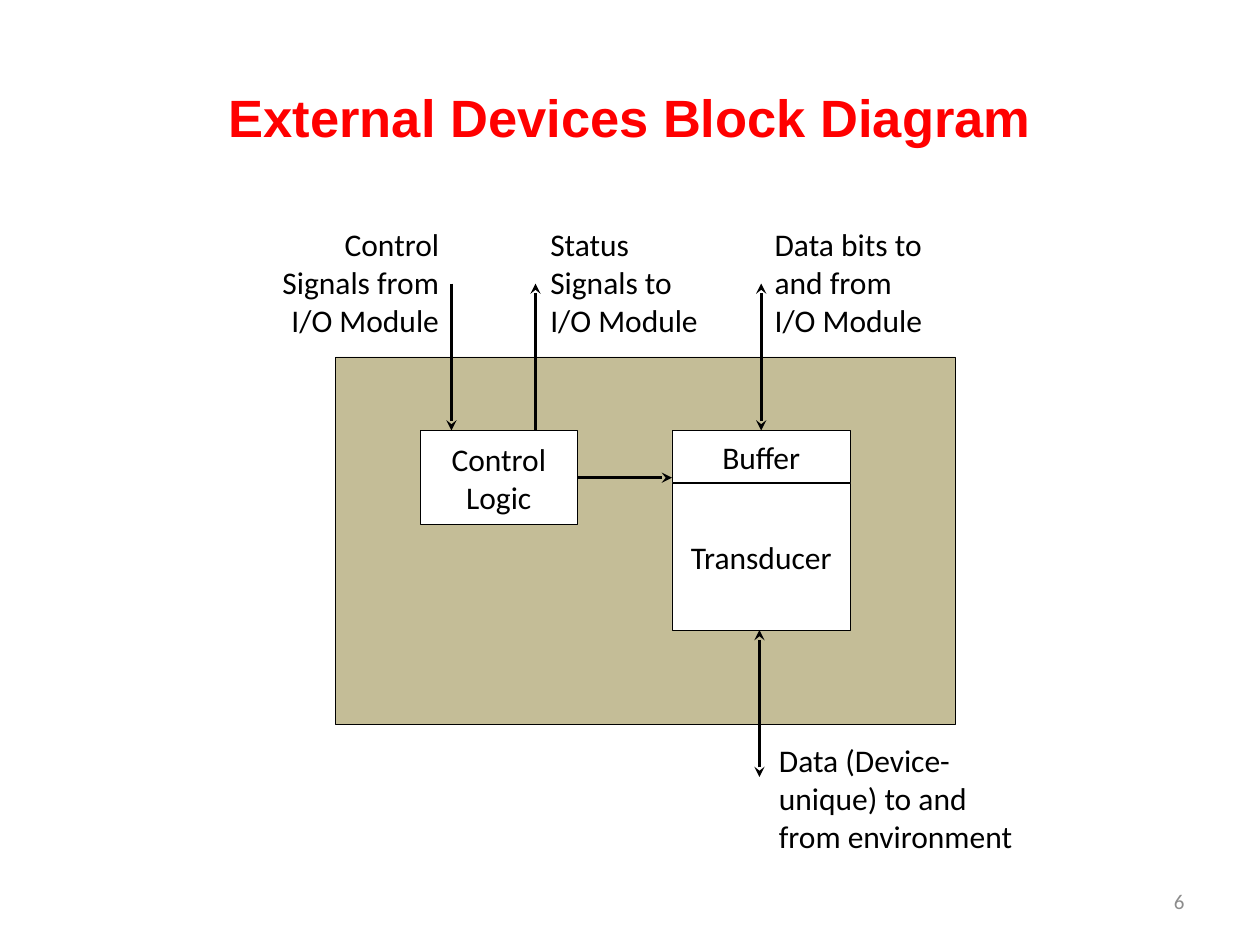
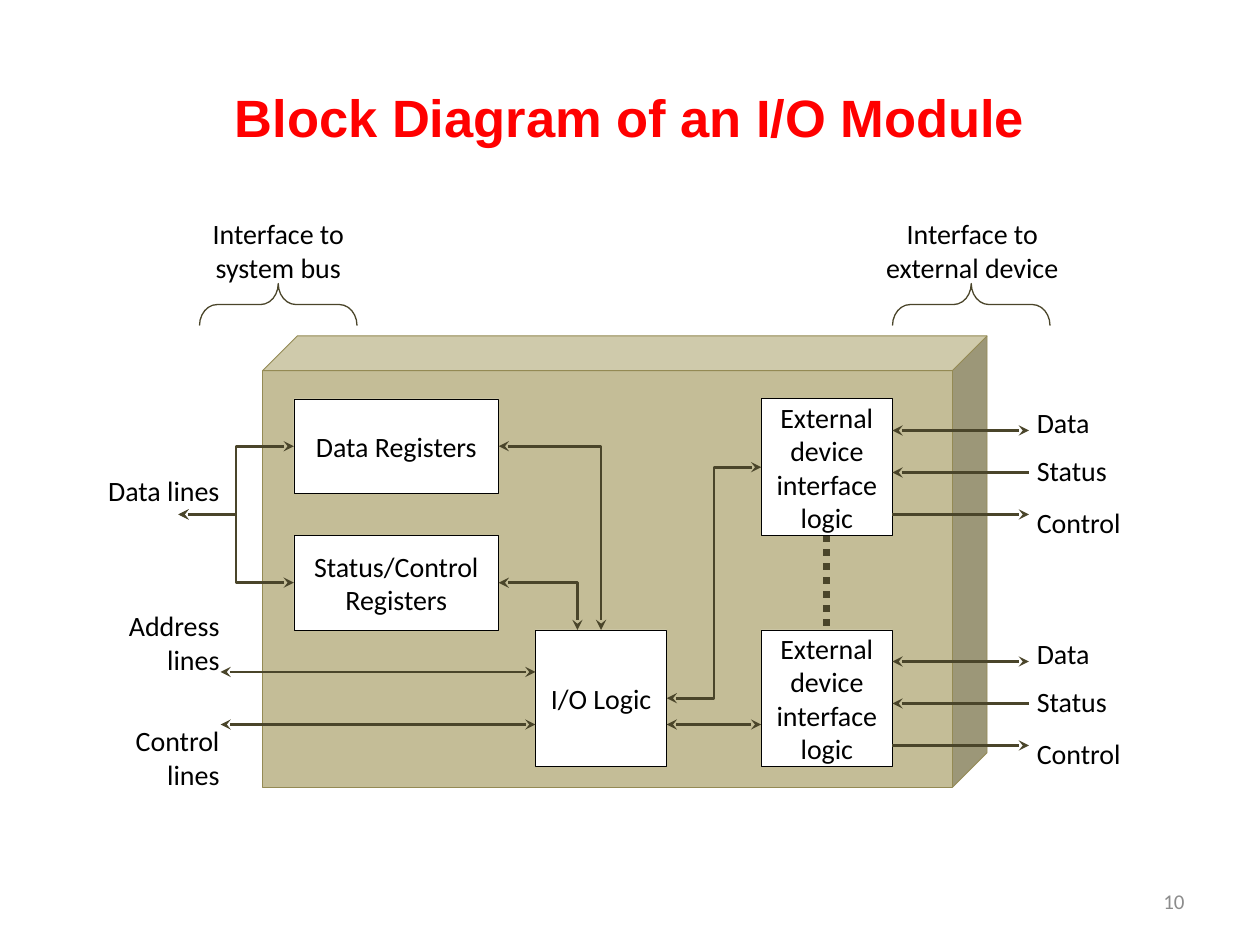
from lxml.etree import SubElement
from pptx import Presentation
from pptx.dml.color import RGBColor
from pptx.enum.dml import MSO_LINE
from pptx.enum.shapes import MSO_CONNECTOR, MSO_SHAPE
from pptx.enum.text import MSO_ANCHOR, PP_ALIGN
from pptx.oxml.ns import qn
from pptx.util import Pt

RED = RGBColor(0xFF, 0x00, 0x00)
BLACK = RGBColor(0x00, 0x00, 0x00)
WHITE = RGBColor(0xFF, 0xFF, 0xFF)
GRAY = RGBColor(0x8C, 0x8C, 0x8C)
TAN = RGBColor(0xC4, 0xBD, 0x97)
OLIVE = RGBColor(0x94, 0x8A, 0x54)
DARK_OLIVE = RGBColor(0x4A, 0x45, 0x2A)

LEFT, CENTER, RIGHT = PP_ALIGN.LEFT, PP_ALIGN.CENTER, PP_ALIGN.RIGHT
TITLE_FORMAT = {"name": "Arial", "size": Pt(30), "bold": True}
NUMBER_FORMAT = {"name": "Calibri", "size": Pt(12)}
LARGE_FORMAT = {"name": "Calibri", "size": Pt(18)}
SMALL_FORMAT = {"name": "Calibri", "size": Pt(16)}
TITLE_AREA = (36, 21.6, 648, 90)
NUMBER_AREA = (516, 500.4, 168, 28.8)

# Areas are (left, top, width, height); all lengths are in points.
DEVICE_AREA = (192, 204, 354, 210)
CONTROL_LOGIC = ("Control Logic", (240, 246, 90, 54))
DATA_PATH_BOXES = [
    ("Transducer", (384, 276, 102, 84)),
    ("Buffer", (384, 246, 102, 30)),
]
# Arrows are (start, end, ends that carry an arrowhead).
DEVICE_ARROWS = [
    ((258, 162), (258, 246), "tail"),
    ((306, 246), (306, 162), "tail"),
    ((330, 273), (384, 273), "tail"),
    ((435, 246), (435, 162), "head tail"),
    ((434, 444), (434, 360), "head tail"),
]
DEVICE_LABELS = [
    ("Control Signals from I/O Module", (150, 125.3, 108, 72.7), RIGHT),
    ("Status Signals to I/O Module", (307.4, 125.3, 108, 72.7), LEFT),
    ("Data bits to and from I/O Module", (435.6, 125.3, 108, 72.7), LEFT),
    ("Data (Device-unique) to and from environment", (438, 420, 156, 72.7), LEFT),
]

MODULE_AREA = (150, 192, 414, 258)
MODULE_BOXES = [
    ("Data Registers", (168, 228, 117, 54)),
    ("Status/Control Registers", (168, 306, 117, 54)),
    ("I/O Logic", (306, 360, 75, 78)),
]
INTERFACE_TEXT = "External device interface logic"
INTERFACE_LEFT, INTERFACE_WIDTH, INTERFACE_HEIGHT = 435, 75, 78
INTERFACE_TOPS = (228, 360)
SIGNAL_END, SIGNAL_LABEL_LEFT = 588, 585.4
# Each signal: label, label width, label offset, arrow offset, arrowheads.
SIGNALS = [
    ("Data", 45, 0, 18, "head tail"),
    ("Status", 57, 27.4, 42, "head"),
    ("Control", 69, 57.4, 66, "tail"),
]
MODULE_ARROWS = [
    ((381, 414), (435, 414)),
    ((126, 384), (306, 384)),
    ((126, 414), (306, 414)),
]
# Elbows are (start, end, preset geometry).
MODULE_ELBOWS = [
    ((285, 333), (330, 360), "bentConnector2"),
    ((285, 255), (343.5, 360), "bentConnector2"),
    ((381, 399), (435, 267), "bentConnector3"),
    ((168, 255), (102, 294), "bentConnector3"),
    ((168, 333), (102, 294), "bentConnector3"),
]
MODULE_LABELS = [
    ("Data lines", (42.5, 267, 90, 26.6), RIGHT),
    ("Address lines", (42.5, 344.2, 90, 46), RIGHT),
    ("Control lines", (42.5, 409.9, 90, 46), RIGHT),
    ("Interface to system bus", (114, 120.2, 90, 46), CENTER),
    ("Interface to external device", (498, 120.2, 115.2, 46), CENTER),
]
BRACE_AREAS = [(147, 129, 24, 90), (543, 129, 24, 90)]


def points(values):
    """Convert plain numbers to point lengths."""
    return [Pt(value) for value in values]


def write_text(shape, text, formats, alignment, color=BLACK, anchor=MSO_ANCHOR.MIDDLE):
    """Put one formatted paragraph into a shape."""
    frame = shape.text_frame
    frame.word_wrap = True
    frame.vertical_anchor = anchor
    paragraph = frame.paragraphs[0]
    paragraph.alignment = alignment
    run = paragraph.add_run()
    run.text = text
    for name, value in formats.items():
        setattr(run.font, name, value)
    run.font.color.rgb = color


def add_text(slide, text, area, formats, alignment, **options):
    """Add a text box."""
    shape = slide.shapes.add_textbox(*points(area))
    write_text(shape, text, formats, alignment, **options)


def add_labels(slide, labels, formats):
    """Add the top-anchored labels of a diagram."""
    for text, area, alignment in labels:
        add_text(slide, text, area, formats, alignment, anchor=MSO_ANCHOR.TOP)


def add_outline(slide, kind, area, fill=None, line=BLACK, width=0.5):
    """Add a preset shape without shadow, hollow if no fill is given."""
    shape = slide.shapes.add_shape(kind, *points(area))
    shape.shadow.inherit = False
    if fill is None:
        shape.fill.background()
    else:
        shape.fill.solid()
        shape.fill.fore_color.rgb = fill
    shape.line.color.rgb = line
    shape.line.width = Pt(width)
    return shape


def add_box(slide, text, area, formats):
    """Add a white block with centred text."""
    shape = add_outline(slide, MSO_SHAPE.RECTANGLE, area, WHITE)
    write_text(shape, text, formats, CENTER)
    return shape


def add_line(slide, start, end, heads="", color=BLACK, width=1.5, geometry=None):
    """Add a straight or elbow connector with stealth arrowheads."""
    kind = MSO_CONNECTOR.ELBOW if geometry else MSO_CONNECTOR.STRAIGHT
    connector = slide.shapes.add_connector(kind, *points(start + end))
    connector.line.color.rgb = color
    connector.line.width = Pt(width)
    properties = connector.element.spPr
    if geometry:
        properties.find(qn("a:prstGeom")).set("prst", geometry)
    for head in heads.split():
        SubElement(properties.find(qn("a:ln")), qn(f"a:{head}End"), type="stealth")
    SubElement(properties, qn("a:effectLst"))
    return connector


def start_slide(presentation, title, number):
    """Add a blank slide with the shared title and slide number."""
    slide = presentation.slides.add_slide(presentation.slide_layouts[6])
    add_text(slide, title, TITLE_AREA, TITLE_FORMAT, CENTER, color=RED)
    add_text(slide, number, NUMBER_AREA, NUMBER_FORMAT, RIGHT, color=GRAY)
    return slide


def build_external_device(presentation):
    """Draw the block diagram of an external device."""
    slide = start_slide(presentation, "External Devices Block Diagram", "6")
    add_outline(slide, MSO_SHAPE.RECTANGLE, DEVICE_AREA, TAN)
    add_box(slide, *CONTROL_LOGIC, LARGE_FORMAT)
    slide.shapes.add_group_shape(
        [add_box(slide, text, area, LARGE_FORMAT) for text, area in DATA_PATH_BOXES])
    for start, end, heads in DEVICE_ARROWS:
        add_line(slide, start, end, heads)
    add_labels(slide, DEVICE_LABELS, LARGE_FORMAT)


def add_interface(slide, top):
    """Add one external device interface with its signals."""
    area = (INTERFACE_LEFT, top, INTERFACE_WIDTH, INTERFACE_HEIGHT)
    add_box(slide, INTERFACE_TEXT, area, SMALL_FORMAT)
    right = INTERFACE_LEFT + INTERFACE_WIDTH
    for text, width, label_offset, arrow_offset, heads in SIGNALS:
        height = top + arrow_offset
        add_line(slide, (right, height), (SIGNAL_END, height), heads, DARK_OLIVE)
        label_area = (SIGNAL_LABEL_LEFT, top + label_offset, width, 26.6)
        add_labels(slide, [(text, label_area, LEFT)], SMALL_FORMAT)


def build_module(presentation):
    """Draw the block diagram of an I/O module."""
    slide = start_slide(presentation, "Block Diagram of an I/O Module", "10")
    cube = add_outline(slide, MSO_SHAPE.CUBE, MODULE_AREA, TAN, OLIVE)
    cube.adjustments[0] = 0.077
    for text, area in MODULE_BOXES:
        add_box(slide, text, area, SMALL_FORMAT)
    for top in INTERFACE_TOPS:
        add_interface(slide, top)
    middle = INTERFACE_LEFT + INTERFACE_WIDTH / 2
    dots = add_line(slide, (middle, INTERFACE_TOPS[0] + INTERFACE_HEIGHT),
                    (middle, INTERFACE_TOPS[1]), color=DARK_OLIVE, width=4)
    dots.line.dash_style = MSO_LINE.ROUND_DOT
    for start, end in MODULE_ARROWS:
        add_line(slide, start, end, "head tail", DARK_OLIVE)
    for start, end, geometry in MODULE_ELBOWS:
        add_line(slide, start, end, "head tail", DARK_OLIVE, geometry=geometry)
    add_labels(slide, MODULE_LABELS, SMALL_FORMAT)
    for area in BRACE_AREAS:
        brace = add_outline(slide, MSO_SHAPE.RIGHT_BRACE, area, None, DARK_OLIVE, 0.75)
        brace.rotation = 270
        brace.adjustments[0] = 0.42


presentation = Presentation()
presentation.slide_width, presentation.slide_height = Pt(720), Pt(540)
build_external_device(presentation)
build_module(presentation)
presentation.save("out.pptx")
